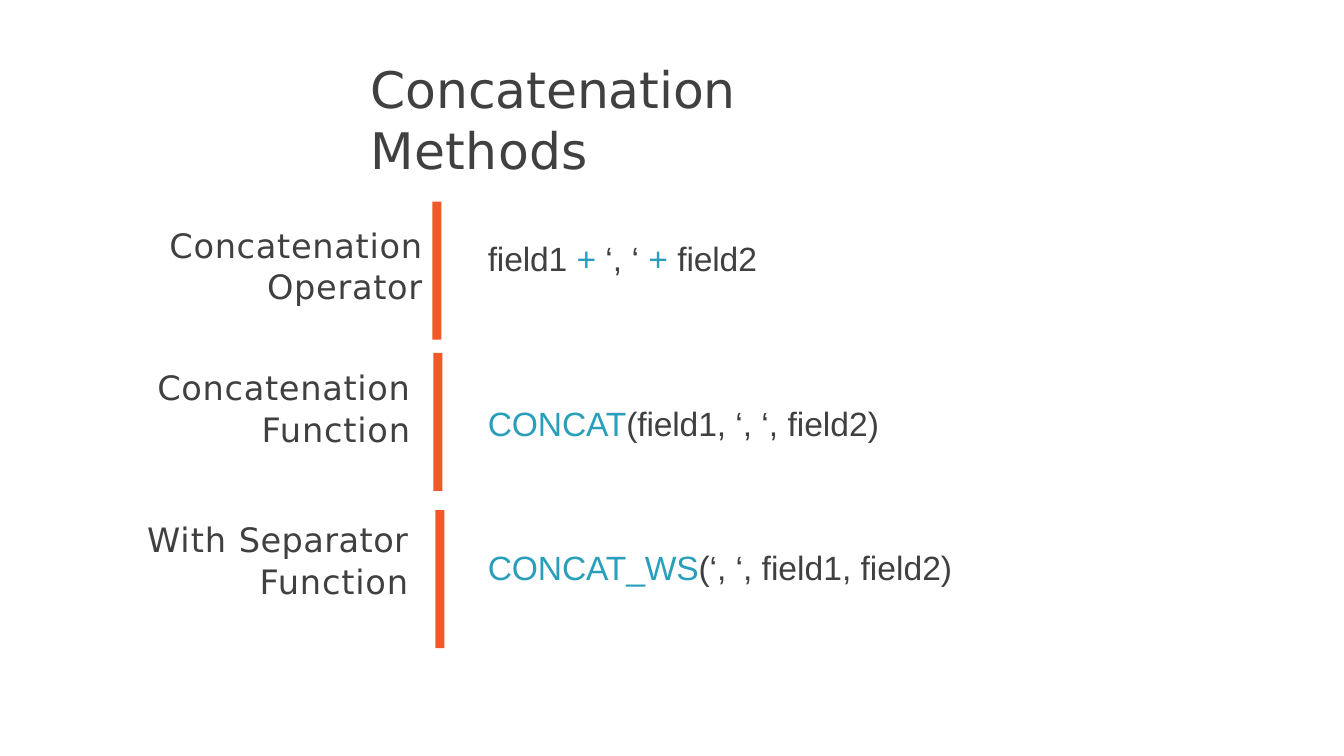
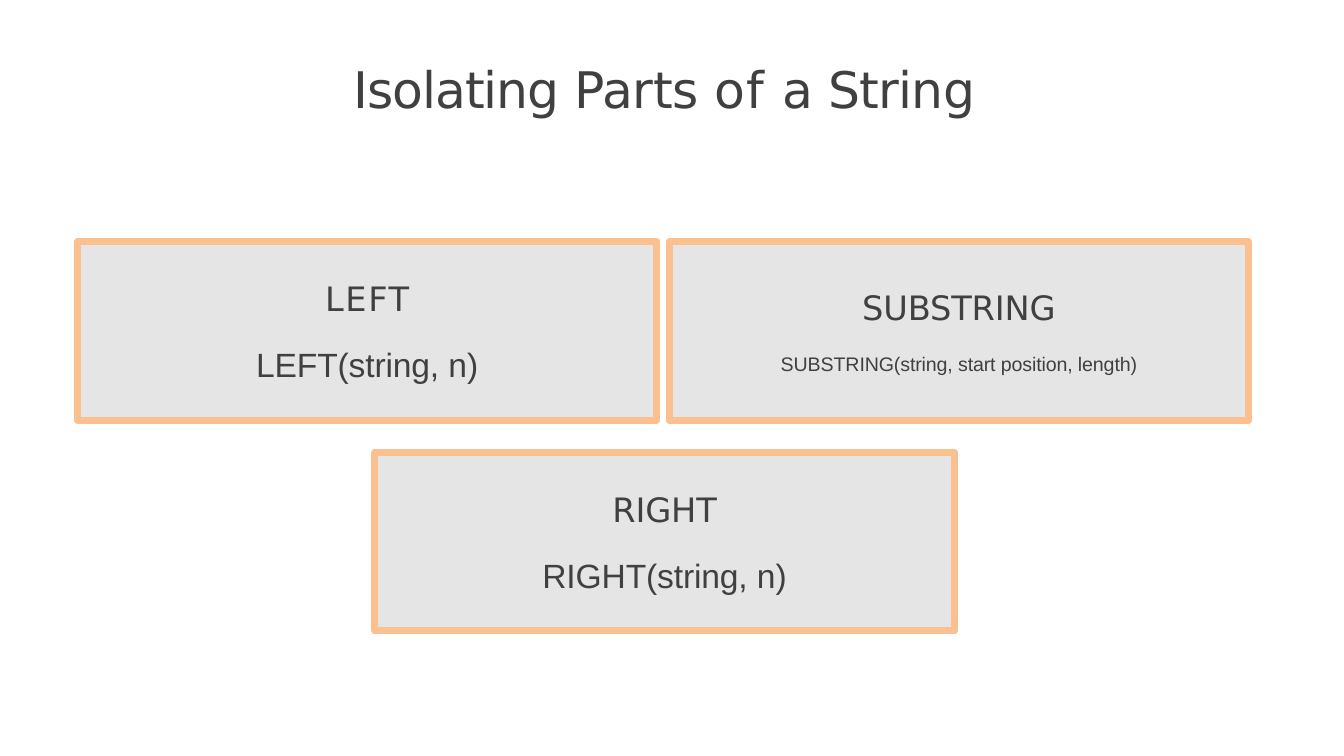
from pptx import Presentation
from pptx.dml.color import RGBColor as Color
from pptx.enum.shapes import MSO_SHAPE as Shape
from pptx.enum.text import MSO_ANCHOR as Anchor, PP_ALIGN as Align
from pptx.util import Inches, Pt

WIDTH, HEIGHT = Inches(13.333), Inches(7.5)
COLORS = {"text": "404040", "code": "2A9FBC", "bar": "F05A28",
          "card": "E5E5E5", "border": "FAC090"}
HEADING, BODY = "DejaVu Sans", "Arial"
CARD_WIDTH, CARD_HEIGHT = 43.1, 23.6

METHODS = [
    {"top": 26.67, "bar": 32.18, "label_right": 31.43, "label_top": 29.73, "code_top": 31.4,
     "label": [[("Concatenation", 0.5)], [("Operator", 0.5)]],
     "code": [("field1 ", -0.1), ("+ ", 0, "code"), ("‘, ‘ ", 0),
              ("+ ", 0, "code"), ("field2", -0.1)]},
    {"top": 46.67, "bar": 32.25, "label_right": 30.53, "label_top": 48.6, "code_top": 53.27,
     "label": [[("Concatenation", 0.5)], [("Function", 0.6)]],
     "code": [("CONCAT", -0.1, "code"), ("(field1, ", -0.1), ("‘, ‘, field2)", 0)]},
    {"top": 67.47, "bar": 32.4, "label_right": 30.38, "label_top": 68.67, "code_top": 72.3,
     "label": [[("With ", 0.7), ("Separator", 0.3)], [("Function", 0.6)]],
     "code": [("CONCAT_WS", -0.1, "code"), ("(‘, ", -0.1), ("‘, field1, field2)", 0)]},
]

CARDS = [
    (5.78, 32, [("LEFT", 1.2)], [("LEFT(string, ", -0.1), ("n)", 0)], 24),
    (49.8, 32, [("SUBSTRING", -0.1)],
     [("SUBSTRING(string, start position, length)", -0.1)], 14),
    (27.9, 59.87, [("RIGHT", -0.1)], [("RIGHT(string, ", -0.1), ("n)", 0)], 24),
]


def place(left, top, width, height):
    shares = ((left, WIDTH), (top, HEIGHT), (width, WIDTH), (height, HEIGHT))
    return [round(size * share / 100) for share, size in shares]


def color(name):
    return Color.from_string(COLORS[name])


def prepare_frame(box, anchor=Anchor.TOP):
    frame = box.text_frame
    frame.word_wrap = True
    frame.vertical_anchor = anchor
    frame.margin_left = frame.margin_right = 0
    frame.margin_top = frame.margin_bottom = 0
    return frame


def write_para(para, spans, font, size, align=Align.LEFT, before=0):
    para.alignment = align
    para.space_before = Pt(before)
    para.font.name = font
    para.font.size = Pt(size)
    para.font.color.rgb = color("text")
    for text, spacing, *tint in spans:
        span = para.add_run()
        span.text = text
        span.font.color.rgb = color(tint[0] if tint else "text")
        span.font._element.set("spc", str(round(spacing * 100)))


def add_text(page, area, lines, font, size, align=Align.LEFT, before=0):
    frame = prepare_frame(page.shapes.add_textbox(*place(*area)))
    for number, spans in enumerate(lines):
        para = frame.add_paragraph() if number else frame.paragraphs[0]
        write_para(para, spans, font, size, align, before if number else 0)


def add_title(page, left, width, spans):
    add_text(page, (left, 7.73, width, 8.4), [spans], HEADING, 36)


def add_block(page, area, fill, border=None):
    block = page.shapes.add_shape(Shape.RECTANGLE, *place(*area))
    block.shadow.inherit = False
    block.fill.solid()
    block.fill.fore_color.rgb = color(fill)
    if border:
        block.line.color.rgb = color(border)
        block.line.width = Pt(5)
    else:
        block.line.fill.background()
    return block


def add_method(page, method):
    add_block(page, (method["bar"], method["top"], 0.67, 18.27), "bar")
    add_text(page, (36.3, method["code_top"], 40, 5.6), [method["code"]], BODY, 24)
    label_width = 26
    add_text(page, (method["label_right"] - label_width, method["label_top"], label_width, 11.2),
             method["label"], HEADING, 24, Align.RIGHT, 0.8)


def add_card(page, left, top, name, syntax, syntax_size):
    card = add_block(page, (left, top, CARD_WIDTH, CARD_HEIGHT), "card", "border")
    frame = prepare_frame(card, Anchor.MIDDLE)
    write_para(frame.paragraphs[0], name, HEADING, 24, Align.CENTER)
    write_para(frame.add_paragraph(), syntax, BODY, syntax_size, Align.CENTER, 18)


def main():
    deck = Presentation()
    deck.slide_width, deck.slide_height = WIDTH, HEIGHT
    blank = deck.slide_layouts[6]

    page = deck.slides.add_slide(blank)
    add_title(page, 27.6, 43, [("Concatenation ", -0.1), ("Methods", 0.2)])
    for method in METHODS:
        add_method(page, method)

    page = deck.slides.add_slide(blank)
    add_title(page, 26.33, 47.5, [("Isolating ", -0.8), ("Parts ", -0.2), ("of ", 0.8),
                                  ("a ", -1), ("String", -0.5)])
    for card in CARDS:
        add_card(page, *card)

    deck.save("out.pptx")


if __name__ == "__main__":
    main()
